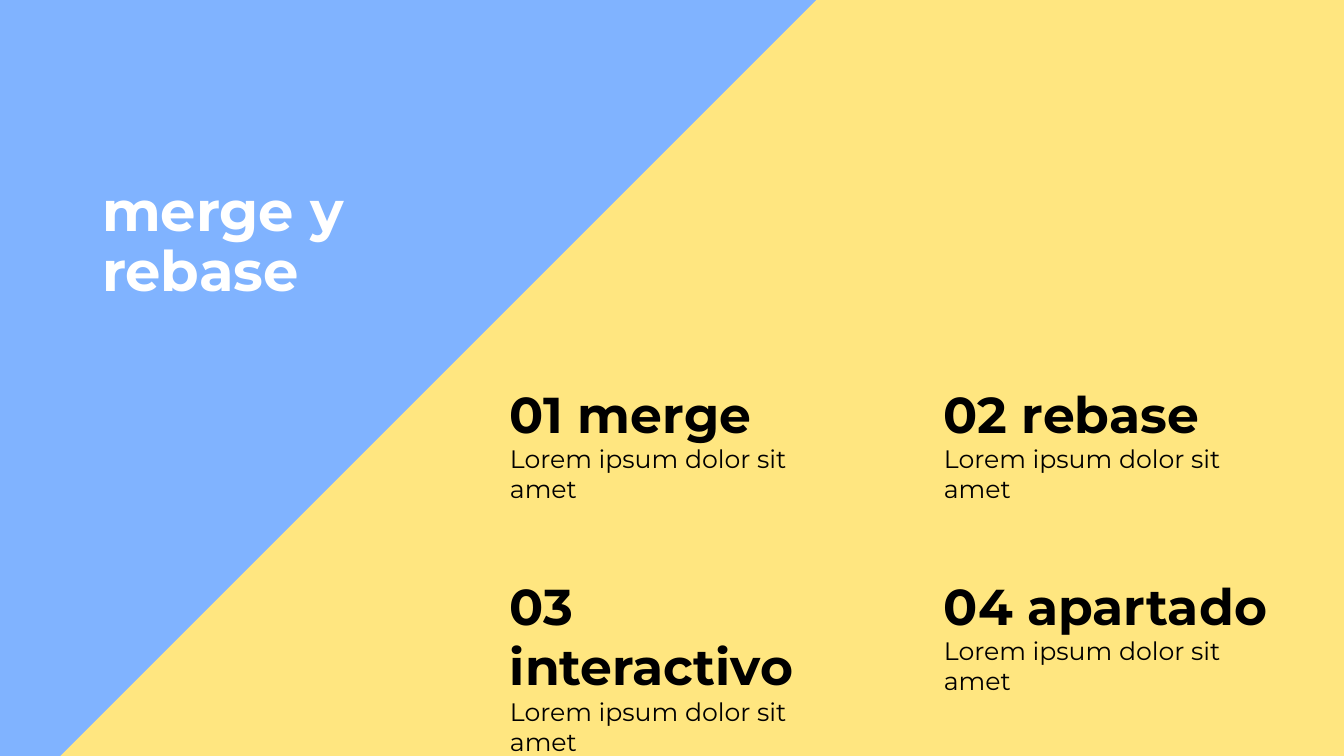
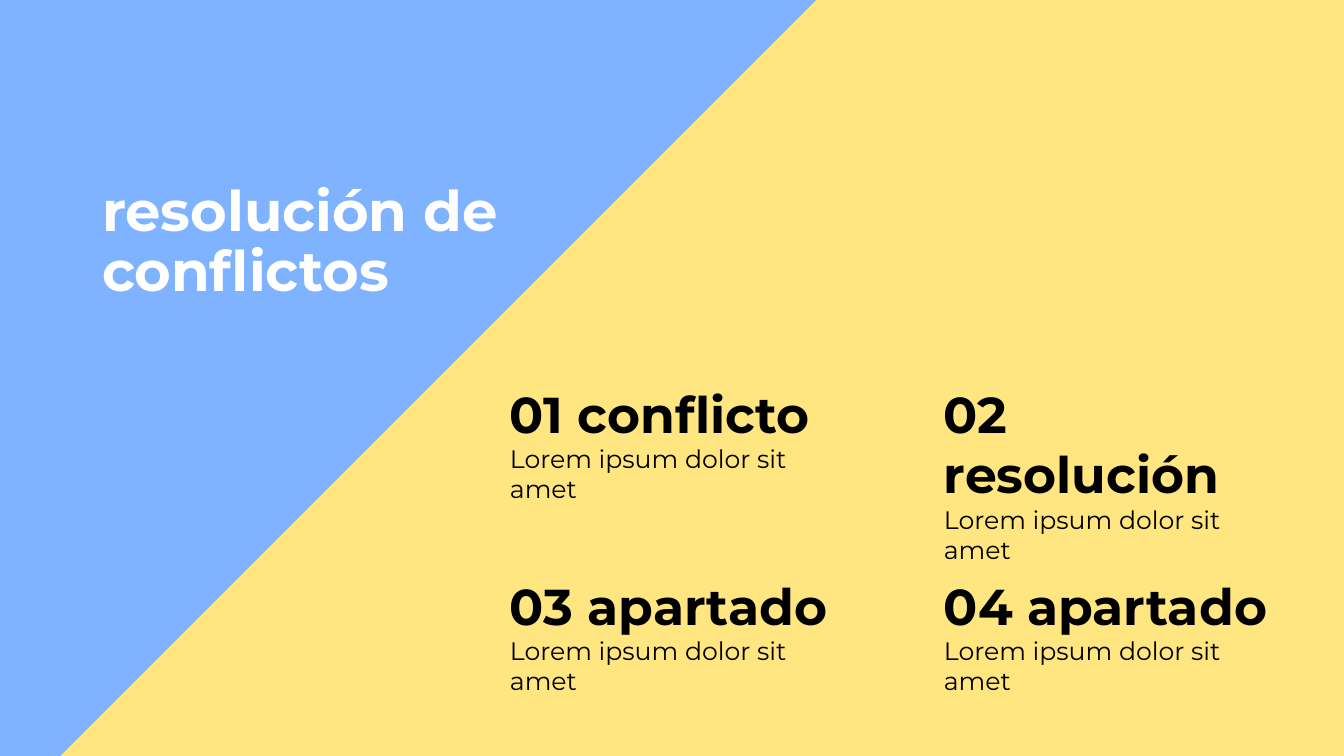
from dataclasses import dataclass

from pptx import Presentation
from pptx.dml.color import RGBColor
from pptx.enum.shapes import MSO_SHAPE
from pptx.enum.text import MSO_ANCHOR, MSO_AUTO_SIZE, PP_ALIGN
from pptx.util import Pt

SCALE = 914400 / 100.8  # EMU per px
SLIDE_WIDTH, SLIDE_HEIGHT = 1344, 756


@dataclass(frozen=True)
class Theme:
    font: str = "Montserrat"
    base: RGBColor = RGBColor(0x8D, 0xD3, 0x5F)
    blue: RGBColor = RGBColor(0x80, 0xB3, 0xFF)
    yellow: RGBColor = RGBColor(0xFF, 0xE6, 0x80)
    white: RGBColor = RGBColor(0xFF, 0xFF, 0xFF)
    black: RGBColor = RGBColor(0, 0, 0)
    title_size: int = 40
    heading_size: int = 36
    detail_size: int = 18


THEME = Theme()
TITLE_BOX = (92, 178, 431, 315)
BAND_BOX = (424, -148, 951, 1475)
TOPICS_BOX = (500, 378, 804, 294)
TOPIC_WIDTH, TOPIC_HEIGHT = 370, 102
DETAIL = "Lorem ipsum dolor sit amet"

SECTIONS = [
    ("merge y rebase", ["01 merge", "02 rebase", "03 interactivo", "04 apartado"]),
    ("resolución de conflictos",
     ["01 conflicto", "02 resolución", "03 apartado", "04 apartado"]),
]


def px(length):
    return round(length * SCALE)


def add_run(paragraph, text, size, color, bold):
    run = paragraph.add_run()
    run.text = text
    run.font.name = THEME.font
    run.font.size = Pt(size)
    run.font.bold = bold
    run.font.color.rgb = color


def add_panel(slide, box, color, rotation=0):
    shape = slide.shapes.add_shape(MSO_SHAPE.RECTANGLE, *map(px, box))
    shape.shadow.inherit = False
    shape.fill.solid()
    shape.fill.fore_color.rgb = color
    shape.line.fill.background()
    shape.rotation = rotation
    return shape


def place_title(slide, box, text):
    title = slide.shapes.title
    title.left, title.top, title.width, title.height = map(px, box)
    frame = title.text_frame
    frame.word_wrap = True
    frame.auto_size = MSO_AUTO_SIZE.NONE
    frame.vertical_anchor = MSO_ANCHOR.TOP
    paragraph = frame.paragraphs[0]
    paragraph.alignment = PP_ALIGN.LEFT
    paragraph.line_spacing = 0.9
    add_run(paragraph, text, THEME.title_size, THEME.white, True)


def add_topic(slide, box, heading):
    frame = slide.shapes.add_textbox(*map(px, box)).text_frame
    frame.word_wrap = True
    frame.auto_size = MSO_AUTO_SIZE.SHAPE_TO_FIT_TEXT
    add_run(frame.paragraphs[0], heading, THEME.heading_size, THEME.black, True)
    add_run(frame.add_paragraph(), DETAIL, THEME.detail_size, THEME.black, False)


def add_topic_grid(slide, box, headings):
    left, top, width, height = box
    column_step = width - TOPIC_WIDTH
    row_step = height - TOPIC_HEIGHT
    for index, heading in enumerate(headings):
        row, column = divmod(index, 2)
        topic_box = (left + column * column_step, top + row * row_step,
                     TOPIC_WIDTH, TOPIC_HEIGHT)
        add_topic(slide, topic_box, heading)


def add_section_slide(presentation, title, headings):
    slide = presentation.slides.add_slide(presentation.slide_layouts[5])

    # Blue backdrop, behind the title
    backdrop = add_panel(slide, (0, 0, SLIDE_WIDTH, SLIDE_HEIGHT), THEME.blue)
    slide.shapes.title.element.addprevious(backdrop.element)
    place_title(slide, TITLE_BOX, title)

    # Diagonal yellow band with the topics
    add_panel(slide, BAND_BOX, THEME.yellow, rotation=45)
    add_topic_grid(slide, TOPICS_BOX, headings)


def main():
    presentation = Presentation()
    presentation.slide_width = px(SLIDE_WIDTH)
    presentation.slide_height = px(SLIDE_HEIGHT)
    background = presentation.slide_master.background.fill
    background.solid()
    background.fore_color.rgb = THEME.base
    for title, headings in SECTIONS:
        add_section_slide(presentation, title, headings)
    presentation.save("out.pptx")


if __name__ == "__main__":
    main()
